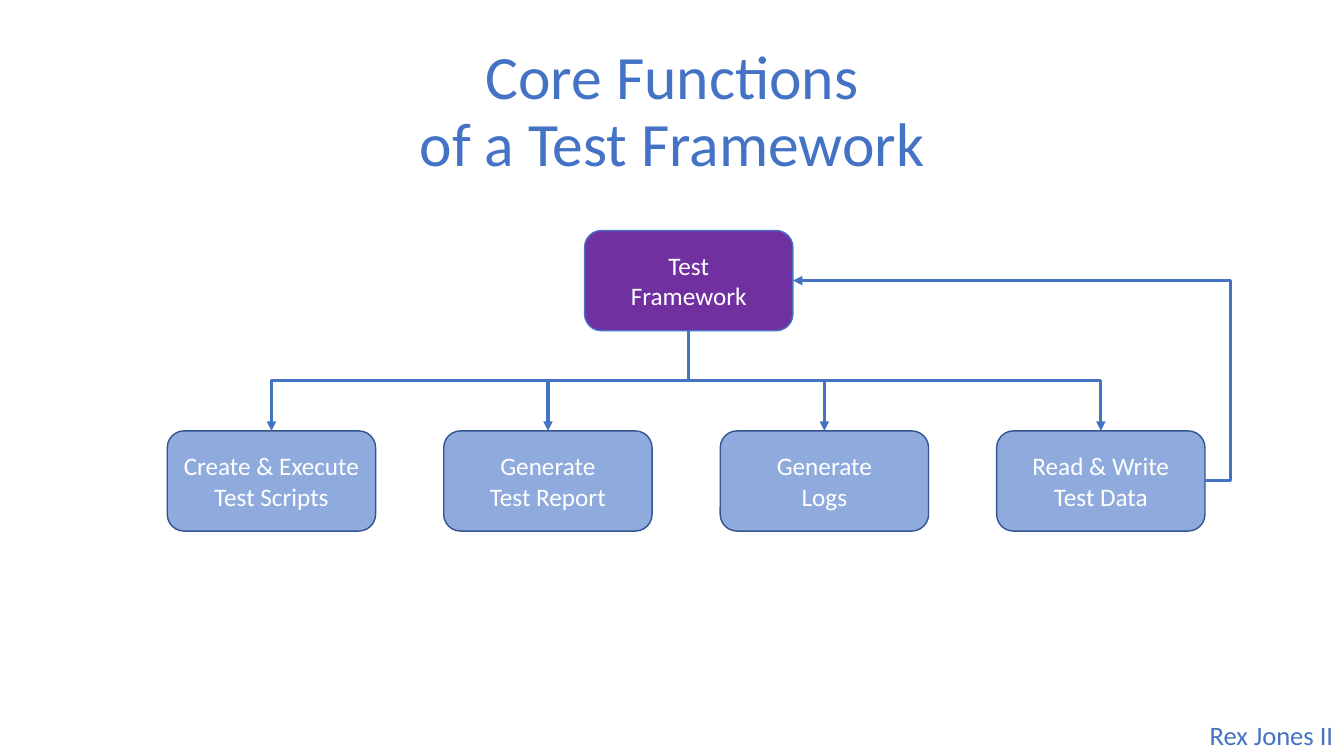
"""Build the slide on the core functions of a test framework."""
from lxml.etree import SubElement
from pptx import Presentation
from pptx.dml.color import RGBColor
from pptx.enum.shapes import MSO_CONNECTOR as Link, MSO_SHAPE as Preset
from pptx.enum.text import MSO_ANCHOR as Anchor, PP_ALIGN as Align
from pptx.oxml.ns import qn
from pptx.util import Inches, Pt

COLORS = {"blue": "4472C4", "purple": "7030A0", "light": "8FAADC", "edge": "325491", "white": "FFFFFF"}

deck = Presentation()
deck.slide_width, deck.slide_height = Inches(13.33), Inches(7.5)
W, H = deck.slide_width, deck.slide_height
slide = deck.slides.add_slide(deck.slide_layouts[6])
shapes = slide.shapes

ROW = H * 0.1325
PITCH = W * 0.2057
BOX = W * 0.155
LEFT = W * 0.1245
TOP = H * 0.305


def write(text, x, y, w, h, size=18, color="white", fill=None, edge=None, spacing=1.0, wrap=True):
    place = [round(v) for v in (x, y, w, h)]
    if fill:
        item = shapes.add_shape(Preset.ROUNDED_RECTANGLE, *place)
        item.shadow.inherit = False
        item.fill.solid()
        item.fill.fore_color.rgb = RGBColor.from_string(COLORS[fill])
        item.line.color.rgb = RGBColor.from_string(COLORS[edge])
        item.line.width = Pt(1)
    else:
        item = shapes.add_textbox(*place)
    frame = item.text_frame
    frame.word_wrap = wrap
    frame.vertical_anchor = Anchor.MIDDLE
    frame.text = text.replace("\n", "\v")
    line = frame.paragraphs[0]
    line.alignment = Align.CENTER
    line.line_spacing = spacing
    for run in line.runs:
        run.font.name = "Calibri"
        run.font.size = Pt(size)
        run.font.color.rgb = RGBColor.from_string(COLORS[color])
    return item


def connect(source, source_site, target, target_site):
    arrow = shapes.add_connector(Link.ELBOW, 0, 0, 0, 0)
    arrow.begin_connect(source, source_site)
    arrow.end_connect(target, target_site)
    arrow.line.color.rgb = RGBColor.from_string(COLORS["blue"])
    arrow.line.width = Pt(2.25)
    SubElement(arrow.line._get_or_add_ln(), qn("a:tailEnd"), type="triangle")
    SubElement(arrow._element.spPr, qn("a:effectLst"))
    return arrow


framework = write("Test\nFramework", W * 0.435, TOP, BOX, ROW, fill="purple", edge="blue")
functions = [
    write(text, LEFT + column * PITCH, TOP + 2 * ROW, BOX, ROW, fill="light", edge="edge")
    for column, text in enumerate(
        ["Create & Execute\nTest Scripts", "Generate\nTest Report", "Generate\nLogs", "Read & Write\nTest Data"]
    )
]
write("Core Functions\nof a Test Framework", W * 0.069, H * 0.053, W * 0.8625, H * 0.193,
      size=44, color="blue", spacing=0.9)

for function in functions:
    branch = connect(framework, 2, function, 0)
    middle_x = (branch.begin_x + branch.end_x) // 2
    middle_y = (branch.begin_y + branch.end_y) // 2
    rightward = branch.end_x > branch.begin_x
    branch.width, branch.height = branch.height, branch.width
    branch.left, branch.top = middle_x - branch.width // 2, middle_y - branch.height // 2
    turn = branch._element.spPr.find(qn("a:xfrm"))
    turn.set("rot", str((270 if rightward else 90) * 60000))
    turn.set("flipH", "1" if rightward else "0")

feedback = connect(functions[-1], 3, framework, 3)
bend = feedback._element.spPr.find(qn("a:prstGeom")).get_or_add_avLst()
SubElement(bend, qn("a:gd"), name="adj1", fmla="val -6100")

write("Rex Jones II", W * 0.892, H * 0.944, W * 0.108, H * 0.056, size=19, color="blue", wrap=False)

deck.save("out.pptx")
